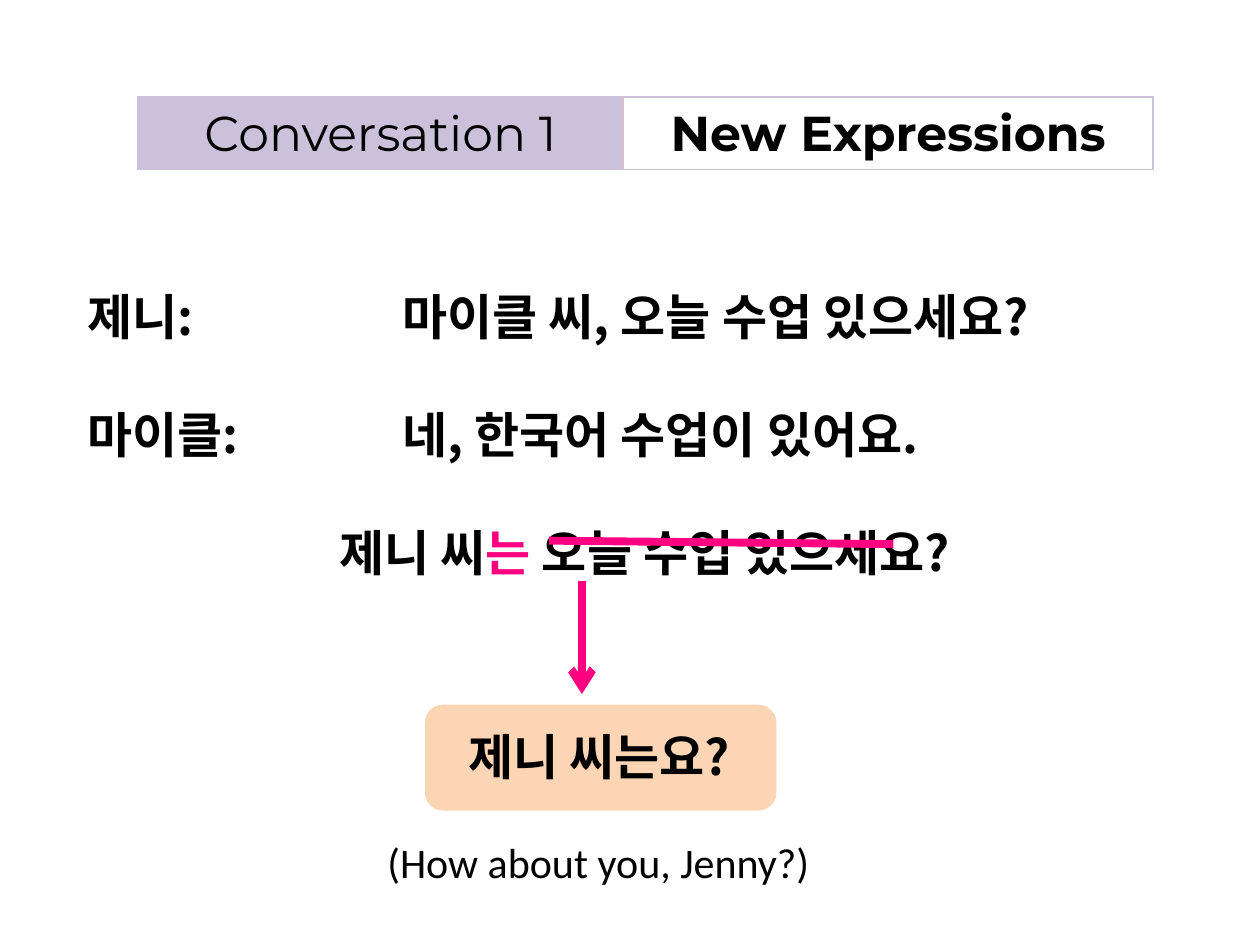
from lxml import etree
from pptx import Presentation
from pptx import util as u
from pptx.dml.color import RGBColor
from pptx.enum import shapes, text
from pptx.oxml.ns import qn

LILAC, ROSE, PINK, PEACH = "CCC1DA", "E6B9B8", "FF0080", "FCD5B5"
BLACK = "000000"
KOREAN = "Noto Sans CJK KR"


def color(code):
    return RGBColor.from_string(code)


def add_tab(para, stop):
    tabs = etree.SubElement(para._p.get_or_add_pPr(), qn("a:tabLst"))
    etree.SubElement(tabs, qn("a:tab"), pos=str(u.Cm(stop)), algn="l")


def style(para, face, size, bold=False):
    font = para.font
    font.name, font.size, font.bold = face, u.Pt(size), bold
    font.color.rgb = color(BLACK)
    # East Asian glyphs take the same face
    props = para._p.pPr.find(qn("a:defRPr"))
    props.find(qn("a:latin")).addnext(
        etree.Element(qn("a:ea"), typeface=face))


def add_text(slide, box, wrap):
    frame = slide.shapes.add_textbox(*map(u.Cm, box)).text_frame
    frame.word_wrap = wrap
    return frame


def add_label(slide, box, words, face, size, bold=False):
    para = add_text(slide, box, False).paragraphs[0]
    para.text = words
    style(para, face, size, bold)


def add_line(slide, start, end, arrow=False):
    line = slide.shapes.add_connector(
        shapes.MSO_CONNECTOR.STRAIGHT, *map(u.Cm, start + end))
    line.line.color.rgb = color(PINK)
    line.line.width = u.Pt(4.5)
    if arrow:
        etree.SubElement(line.line._get_or_add_ln(), qn("a:tailEnd"),
                         type="arrow")
    etree.SubElement(line._element.spPr, qn("a:effectLst"))


def add_edges(cell, codes):
    props = cell._tc.get_or_add_tcPr()
    for side, code in zip("LRTB", codes):
        edge = etree.SubElement(props, qn("a:ln" + side), w=str(u.Pt(1)))
        fill = etree.SubElement(edge, qn("a:solidFill"))
        etree.SubElement(fill, qn("a:srgbClr"), val=code)


def add_header(slide, left, top, widths, height):
    table = slide.shapes.add_table(
        1, 2, u.Cm(left), u.Cm(top), u.Cm(sum(widths)), u.Cm(height)).table
    table.first_row = table.horz_banding = False
    cells = (("Conversation 1", False, LILAC, (LILAC, ROSE, LILAC, LILAC)),
             ("New Expressions", True, None, (ROSE, LILAC, LILAC, LILAC)))
    for col, (words, bold, fill, edges) in enumerate(cells):
        table.columns[col].width = u.Cm(widths[col])
        cell = table.cell(0, col)
        add_edges(cell, edges)
        if fill:
            cell.fill.solid()
            cell.fill.fore_color.rgb = color(fill)
        else:
            cell.fill.background()
        para = cell.text_frame.paragraphs[0]
        para.alignment = text.PP_ALIGN.CENTER
        # Table text takes its look from the run
        run = para.add_run()
        run.text = words
        run.font.name, run.font.size = "Montserrat", u.Pt(28)
        run.font.bold = bold
        run.font.color.rgb = color(BLACK)


def add_talk(slide, left, top, width, height):
    frame = add_text(slide, (left, top, width, height), True)
    # Tab stop, then runs with an optional accent colour
    lines = ((6.35, [("제니:\t마이클 씨, 오늘 수업 있으세요?", None)]),
             (6.35, [("마이클:\t네, 한국어 수업이 있어요.", None)]),
             (5.08, [("\t제니 씨", None), ("는", PINK),
                     (" 오늘 수업 있으세요?", None)]))
    for row, (stop, runs) in enumerate(lines):
        para = frame.add_paragraph() if row else frame.paragraphs[0]
        para.line_spacing = 2.0
        add_tab(para, stop)
        style(para, KOREAN, 28, True)
        for words, accent in runs:
            run = para.add_run()
            run.text = words
            if accent:
                run.font.color.rgb = color(accent)
    # Strike out the words that can be dropped
    add_line(slide, (left + 9.55, top + 6.43), (left + 16.49, top + 6.5))


def add_answer(slide, left, top, width, height):
    card = slide.shapes.add_shape(
        shapes.MSO_SHAPE.ROUNDED_RECTANGLE,
        *map(u.Cm, (left, top, width, height)))
    card.shadow.inherit = False
    card.fill.solid()
    card.fill.fore_color.rgb = card.line.color.rgb = color(PEACH)
    card.line.width = u.Pt(0.75)
    add_label(slide, (left + 0.61, top + 0.3, 6.02, 1.45),
              "제니 씨는요?", KOREAN, 28, True)
    # Arrow from the sentence down to its short form
    add_line(slide, (left + 3.15, top - 2.51), (left + 3.15, top - 0.23), True)
    # Translation below the card
    add_label(slide, (left - 1.02, top + 2.52, 9.12, 1.27),
              "(How about you, Jenny?)", "Calibri", 24)


def main():
    deck = Presentation()
    deck.slide_width, deck.slide_height = u.Cm(25.4), u.Cm(19.05)
    slide = deck.slides.add_slide(deck.slide_layouts[6])
    add_header(slide, 2.77, 1.96, (9.8, 10.67), 1.4)
    add_talk(slide, 1.52, 4.47, 22.96, 7.24)
    add_answer(slide, 8.58, 14.22, 7.06, 2.11)
    deck.save("out.pptx")


if __name__ == "__main__":
    main()
